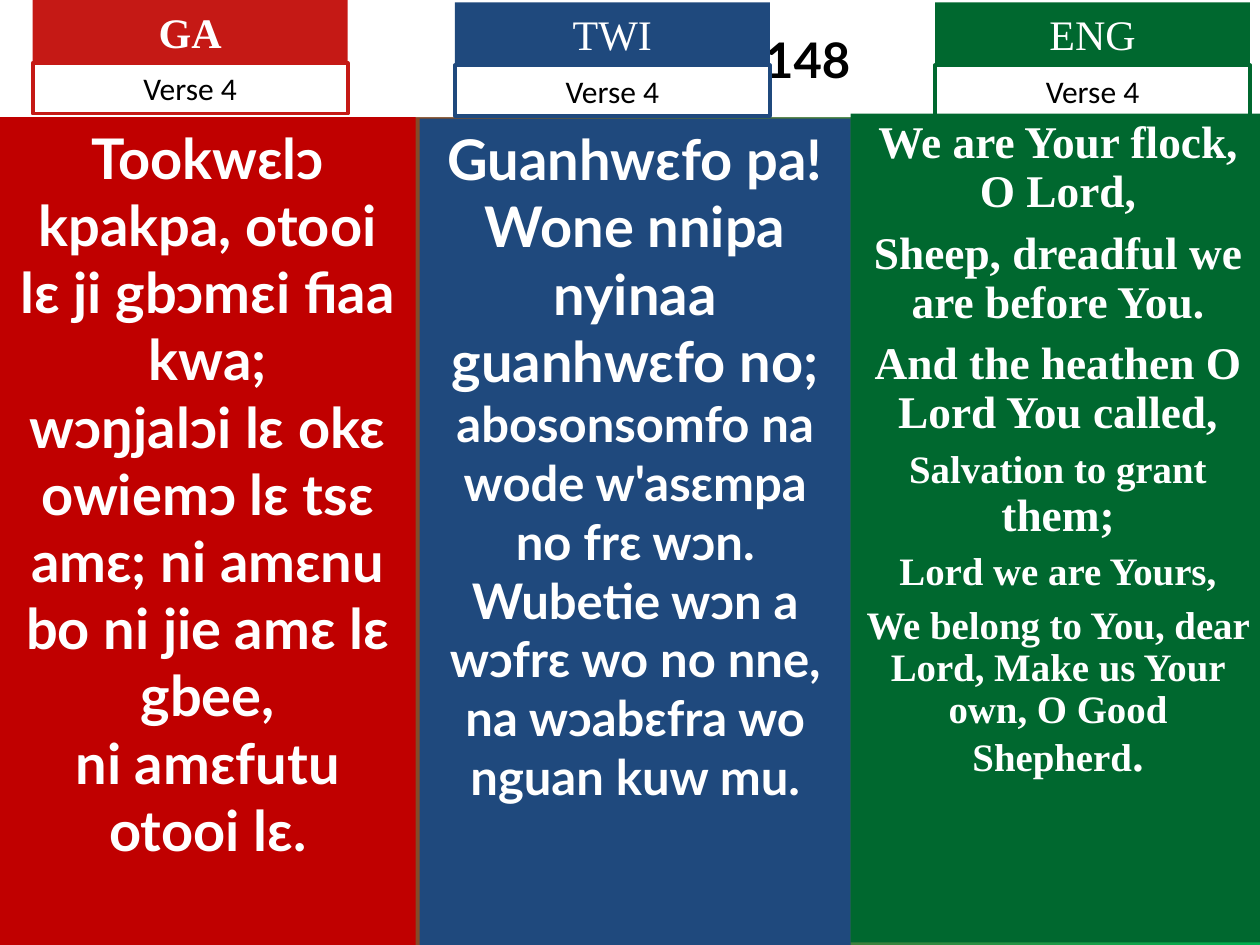
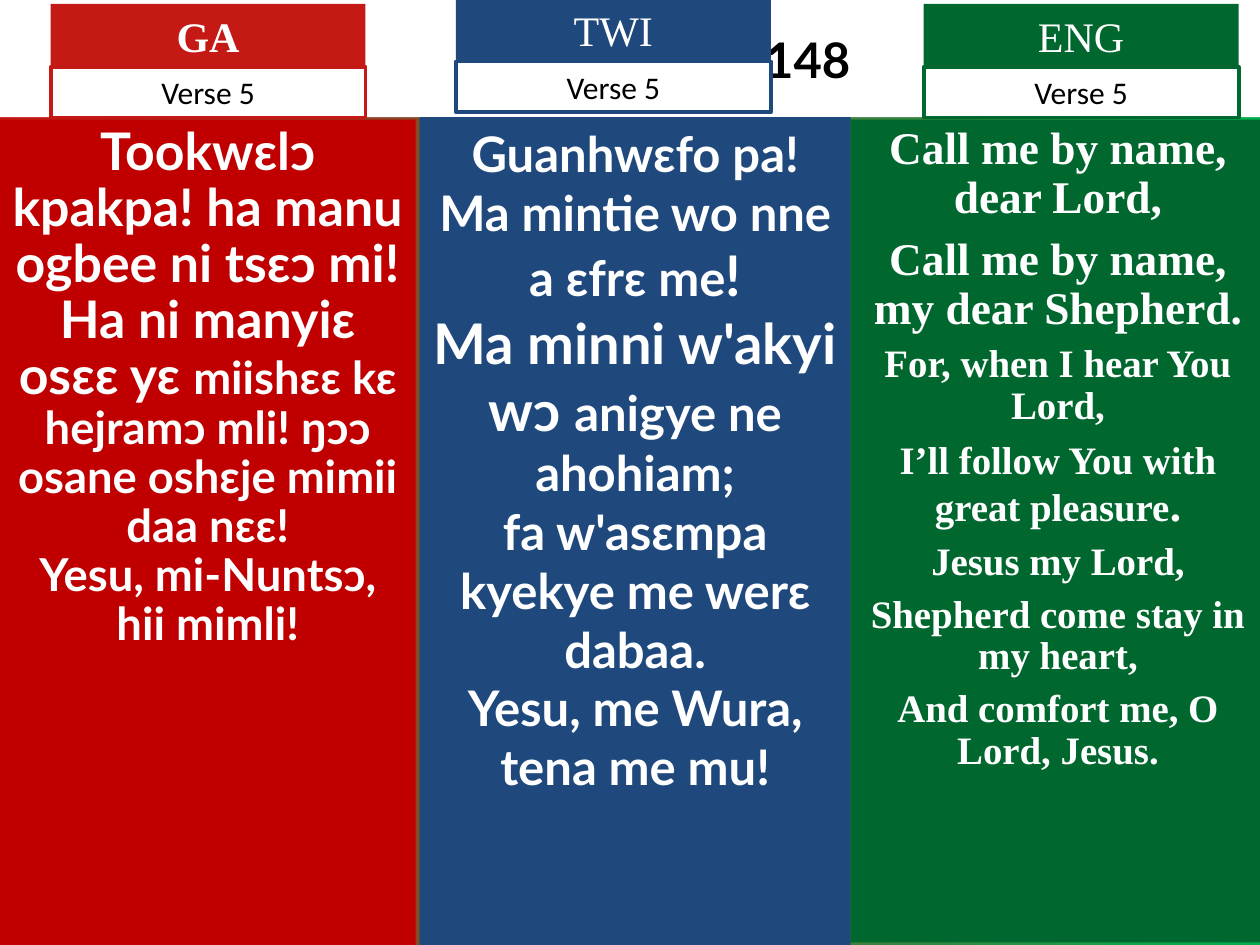
from collections import namedtuple

from pptx import Presentation
from pptx.dml.color import RGBColor
from pptx.enum.shapes import MSO_SHAPE
from pptx.enum.text import MSO_ANCHOR, MSO_AUTO_SIZE, PP_ALIGN
from pptx.util import Cm, Pt

WHITE = RGBColor(0xFF, 0xFF, 0xFF)
BLACK = RGBColor(0x00, 0x00, 0x00)
RED = RGBColor(0xC5, 0x19, 0x15)
DARK_RED = RGBColor(0xC0, 0x00, 0x00)
BLUE = RGBColor(0x1F, 0x49, 0x7D)
GREEN = RGBColor(0x00, 0x68, 0x2F)
BRIGHT_GREEN = RGBColor(0x00, 0xB0, 0x50)

SANS, SERIF, LABEL_FONT = "Lato", "Times New Roman", "Calibri"
SLIDE_WIDTH, SLIDE_HEIGHT = 25.4, 19.05
TITLE_HEIGHT = 2.36
TITLE_RIGHT = 17.14
HEADER_WIDTH, LANGUAGE_HEIGHT, VERSE_HEIGHT = 6.35, 1.27, 1.02

Box = namedtuple("Box", "left top width height")
Language = namedtuple("Language", "name left width bottom panel accent font bold_name gap")
Lyrics = namedtuple("Lyrics", "header_left header_top panel_top line_spacing paragraphs")

LANGUAGES = [
    Language("GA", 0, 8.38, SLIDE_HEIGHT, DARK_RED, RED, SANS, True, 0),
    Language("TWI", 8.46, 8.69, SLIDE_HEIGHT, BLUE, BLUE, SANS, False, 0),
    Language("ENG", 17.15, 8.36, 19.0, GREEN, GREEN, SERIF, False, 0.27),
]

VERSES = {
    "Verse 4": [
        Lyrics(0.66, 0, 2.36, 1.0, [
            [("Tookwɛlɔ kpakpa, otooi lɛ ji gbɔmɛi fiaa kwa;", 32)],
            [("wɔŋjalɔi lɛ okɛ owiemɔ lɛ tsɛ amɛ; ni amɛnu bo ni jie amɛ lɛ gbee,", 32)],
            [("ni amɛfutu otooi lɛ.", 32)],
        ]),
        Lyrics(9.17, 0.05, 2.39, 1.0, [
            [("Guanhwɛfo pa! Wone nnipa nyinaa guanhwɛfo no;", 32)],
            [("abosonsomfo na wode w'asɛmpa no frɛ wɔn.", 28)],
            [("Wubetie wɔn a wɔfrɛ wo no nne,", 28)],
            [("na wɔabɛfra wo nguan kuw mu.", 28)],
        ]),
        Lyrics(18.85, 0.05, 2.29, 0.9, [
            [("We are Your flock, O Lord,", 25.9)],
            [("Sheep, dreadful we are before You.", 25.9)],
            [("And the heathen O Lord You called,", 25.9)],
            [("Salvation to grant ", 22.2), ("them;", 25.9)],
            [("Lord we are Yours,", 22.2)],
            [("We belong to You, dear Lord, Make us Your own, O Good Shepherd", 22.2), (".", 25.9)],
        ]),
    ],
    "Verse 5": [
        Lyrics(1.02, 0.08, 2.41, 0.9, [
            [("Tookwɛlɔ kpakpa! ha manu ogbee ni tsɛɔ mi!", 29.6)],
            [("Ha ni manyiɛ osɛɛ yɛ ", 29.6),
             ("miishɛɛ kɛ hejramɔ mli! ŋɔɔ osane oshɛje mimii daa nɛɛ!", 25.9)],
            [("Yesu, mi-Nuntsɔ, hii mimli!", 25.9)],
        ]),
        Lyrics(9.19, -0.03, 2.36, 1.0, [
            [("Guanhwɛfo pa! Ma mintie wo nne a ɛfrɛ me", 28), ("!", 32)],
            [("Ma minni w'akyi wɔ ", 32), ("anigye ne ahohiam;", 28)],
            [("fa w'asɛmpa kyekye me werɛ dabaa.", 28)],
            [("Yesu, me Wura, tena me mu!", 28)],
        ]),
        Lyrics(18.62, 0.08, 2.41, 0.9, [
            [("Call me by name, dear Lord,", 25.9)],
            [("Call me by name, my dear Shepherd.", 25.9)],
            [("For, when I hear You Lord,", 22.2)],
            [("I’ll follow You with great pleasure", 22.2), (".", 25.9)],
            [("Jesus my Lord,", 22.2)],
            [("Shepherd come stay in my heart,", 22.2)],
            [("And comfort me, O Lord, Jesus.", 22.2)],
        ]),
    ],
}


def add_text(paragraph, text, *, size, font, color=WHITE, bold=False, align=PP_ALIGN.CENTER):
    paragraph.alignment = align
    run = paragraph.add_run()
    run.text = text
    run.font.size = Pt(size)
    run.font.name = font
    run.font.bold = bold
    run.font.color.rgb = color


def add_rectangle(slide, box, fill=None, line=None):
    shape = slide.shapes.add_shape(MSO_SHAPE.RECTANGLE, *(Cm(length) for length in box))
    shape.shadow.inherit = False
    if fill is None:
        shape.fill.background()
    else:
        shape.fill.solid()
        shape.fill.fore_color.rgb = fill
    if line is None:
        shape.line.fill.background()
    else:
        shape.line.color.rgb = line
        shape.line.width = Pt(2.25)
    shape.text_frame.word_wrap = True
    shape.text_frame.vertical_anchor = MSO_ANCHOR.TOP
    return shape


def format_background(slide):
    fill = slide.background.fill
    fill.gradient()
    fill.gradient_angle = 0
    for stop, color in zip(fill.gradient_stops, (RED, BRIGHT_GREEN)):
        stop.color.rgb = color


def add_title(slide, text):
    title = slide.shapes.title
    title.left, title.top = Cm(0), Cm(0)
    title.width, title.height = Cm(SLIDE_WIDTH), Cm(TITLE_HEIGHT)
    title.fill.solid()
    title.fill.fore_color.rgb = WHITE
    frame = title.text_frame
    frame.auto_size = MSO_AUTO_SIZE.NONE
    frame.vertical_anchor = MSO_ANCHOR.MIDDLE
    frame.margin_right = Cm(SLIDE_WIDTH - TITLE_RIGHT)
    add_text(frame.paragraphs[0], text, size=28, font=SANS, color=BLACK, bold=True,
             align=PP_ALIGN.RIGHT)


def add_panel(slide, box, language, lyrics):
    frame = add_rectangle(slide, box, fill=language.panel).text_frame
    for index, runs in enumerate(lyrics.paragraphs):
        paragraph = frame.add_paragraph() if index else frame.paragraphs[0]
        paragraph.line_spacing = lyrics.line_spacing
        if index:
            paragraph.space_before = Pt(round(language.gap * max(size for _, size in runs)))
        for text, size in runs:
            add_text(paragraph, text, size=size, font=language.font, bold=True)


def add_header(slide, box, language, verse):
    name_box = box._replace(height=LANGUAGE_HEIGHT)
    verse_box = box._replace(top=box.top + LANGUAGE_HEIGHT, height=VERSE_HEIGHT)
    name = add_rectangle(slide, name_box, fill=language.accent)
    add_text(name.text_frame.paragraphs[0], language.name, size=24, font=SERIF,
             bold=language.bold_name)
    label = add_rectangle(slide, verse_box, line=language.accent)
    add_text(label.text_frame.paragraphs[0], verse, size=18, font=LABEL_FONT, color=BLACK)


def add_verse_slide(presentation, verse, columns):
    slide = presentation.slides.add_slide(presentation.slide_layouts[5])
    format_background(slide)
    add_title(slide, "148")
    for language, lyrics in zip(LANGUAGES, columns):
        panel_box = Box(language.left, lyrics.panel_top, language.width,
                        language.bottom - lyrics.panel_top)
        header_box = Box(lyrics.header_left, lyrics.header_top, HEADER_WIDTH,
                         LANGUAGE_HEIGHT + VERSE_HEIGHT)
        add_panel(slide, panel_box, language, lyrics)
        add_header(slide, header_box, language, verse)


def main():
    presentation = Presentation()
    presentation.slide_width = Cm(SLIDE_WIDTH)
    presentation.slide_height = Cm(SLIDE_HEIGHT)
    for verse, columns in VERSES.items():
        add_verse_slide(presentation, verse, columns)
    presentation.save("out.pptx")


if __name__ == "__main__":
    main()
